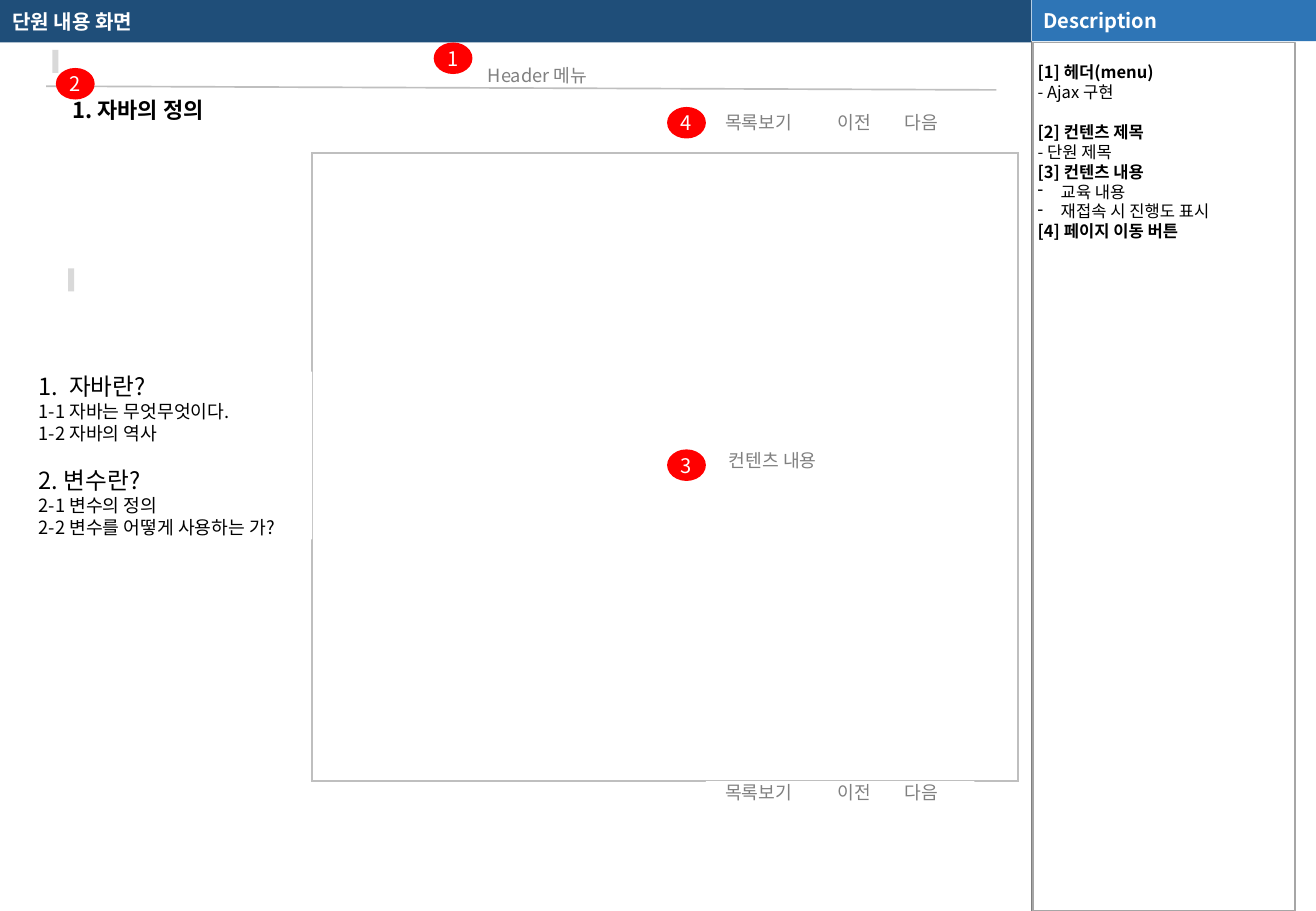
from dataclasses import dataclass

from lxml import etree
from pptx import Presentation
from pptx.dml.color import RGBColor
from pptx.enum.shapes import MSO_CONNECTOR, MSO_SHAPE
from pptx.enum.text import MSO_ANCHOR, MSO_AUTO_SIZE, PP_ALIGN
from pptx.oxml.ns import qn
from pptx.util import Pt

RECTANGLE, OVAL = MSO_SHAPE.RECTANGLE, MSO_SHAPE.OVAL
STRAIGHT = MSO_CONNECTOR.STRAIGHT
TOP, MIDDLE = MSO_ANCHOR.TOP, MSO_ANCHOR.MIDDLE
LEFT, CENTER = PP_ALIGN.LEFT, PP_ALIGN.CENTER
NO_AUTOFIT = MSO_AUTO_SIZE.NONE

FONT = "Noto Sans CJK KR"
WHITE, BLACK, GRAY, LIGHT_GRAY = "FFFFFF", "000000", "808080", "BFBFBF"
LINE_HEIGHT = 1.2
SMALL, BODY, HEADING = 9.8, 10.8, 11.9
NO_INSETS = (0, 0, 0, 0)
TEXT_INSETS = (7.2, 3.6, 7.2, 3.6)

TITLE_WIDTH, TITLE_HEIGHT = 611.3, 25.2
NAVIGATION = (("목록보기", 418.3), ("이전", 475.2), ("다음", 514.8))
BADGES = ((257, 25.2), (33.1, 40.3), (395.3, 266.4), (395.3, 63.4))


@dataclass
class Line:
    text: str
    size: float = BODY
    bold: bool = False
    color: str = BLACK
    before: float = 0
    bullet: str = ""
    indent: float = 0
    spacing: float = LINE_HEIGHT


DESCRIPTION = [
    Line("[1] 헤더(menu)", SMALL, True),
    Line("- Ajax 구현", SMALL),
    Line("[2] 컨텐츠 제목", SMALL, True, before=11.7),
    Line("- 단원 제목", SMALL),
    Line("[3] 컨텐츠 내용", SMALL, True),
    Line("교육 내용", SMALL, bullet="-", indent=13.7),
    Line("재접속 시 진행도 표시", SMALL, bullet="-", indent=13.7),
    Line("[4] 페이지 이동 버튼", SMALL, True),
]
CONTENTS = [
    Line("자바란?", 14, bullet="1.", indent=18),
    Line("1-1 자바는 무엇무엇이다."),
    Line("1-2 자바의 역사"),
    Line("2. 변수란?", 14, before=13),
    Line("2-1 변수의 정의"),
    Line("2-2 변수를 어떻게 사용하는 가?"),
]


def rgb(color):
    return RGBColor.from_string(color)


def add_bullet(para, bullet, indent):
    """Give a paragraph a dash bullet or a number with a hanging indent."""
    properties = para._p.get_or_add_pPr()
    properties.set("marL", str(Pt(indent)))
    properties.set("indent", str(-Pt(indent)))
    if bullet == "1.":
        etree.SubElement(properties, qn("a:buAutoNum"), type="arabicPeriod")
    else:
        etree.SubElement(properties, qn("a:buChar"), char=bullet)


def write(shape, lines, align=LEFT, anchor=TOP, insets=NO_INSETS):
    frame = shape.text_frame
    frame.word_wrap = True
    frame.auto_size = NO_AUTOFIT
    frame.vertical_anchor = anchor
    (frame.margin_left, frame.margin_top,
     frame.margin_right, frame.margin_bottom) = map(Pt, insets)
    frame.text = "\n".join(line.text for line in lines)
    for para, line in zip(frame.paragraphs, lines):
        if line.bullet:
            add_bullet(para, line.bullet, line.indent)
        para.alignment = align
        para.line_spacing = Pt(round(line.size * line.spacing, 1))
        para.space_before = Pt(line.before)
        for span in para.runs:
            font = span.font
            font.name, font.size, font.bold = FONT, Pt(line.size), line.bold
            font.color.rgb = rgb(line.color)
            etree.SubElement(span._r.get_or_add_rPr(), qn("a:ea"), typeface=FONT)


def add_box(slide, place, fill=None, outline=None, kind=RECTANGLE):
    box = slide.shapes.add_shape(kind, *map(Pt, place))
    box.shadow.inherit = False
    if fill:
        box.fill.solid()
        box.fill.fore_color.rgb = rgb(fill)
    else:
        box.fill.background()
    if outline:
        box.line.color.rgb = rgb(outline)
        box.line.width = Pt(1)
    else:
        box.line.fill.background()
    return box


def add_text(slide, place, line, align=LEFT, insets=NO_INSETS):
    box = slide.shapes.add_textbox(*map(Pt, place))
    write(box, [line], align, insets=insets)


def add_rule(slide, ends, color, width):
    rule = slide.shapes.add_connector(STRAIGHT, *map(Pt, ends))
    rule.line.color.rgb = rgb(color)
    rule.line.width = Pt(width)
    etree.SubElement(rule._element.spPr, qn("a:effectLst"))


def add_frame_table(slide, place, color):
    """Add a one-cell table that shows only its borders."""
    table = slide.shapes.add_table(1, 1, *map(Pt, place)).table
    table.first_row = table.horz_banding = False
    cell = table.cell(0, 0)
    properties = cell._tc.get_or_add_tcPr()
    for side in ("a:lnL", "a:lnR", "a:lnT", "a:lnB"):
        border = etree.SubElement(properties, qn(side), w=str(Pt(1)))
        solid = etree.SubElement(border, qn("a:solidFill"))
        etree.SubElement(solid, qn("a:srgbClr"), val=color)
    cell.fill.background()


def add_title_bar(slide):
    add_box(slide, (0, 0, TITLE_WIDTH, TITLE_HEIGHT), "1F4E79")
    add_rule(slide, (TITLE_WIDTH, 0, TITLE_WIDTH, TITLE_HEIGHT), WHITE, 0.25)
    add_rule(slide, (TITLE_WIDTH, 24.5, TITLE_WIDTH, 540), "7F7F7F", 0.25)
    label = add_box(slide, (TITLE_WIDTH, 0, 168.5, 24.5), "2E75B6")
    write(label, [Line("Description", HEADING, True, WHITE)],
          anchor=MIDDLE, insets=TEXT_INSETS)
    title = slide.shapes.title
    title.left, title.top = Pt(0), Pt(0)
    title.width, title.height = Pt(594), Pt(TITLE_HEIGHT)
    write(title, [Line("단원 내용 화면", HEADING, True, WHITE)],
          anchor=MIDDLE, insets=TEXT_INSETS)
    slide.shapes._spTree.append(title._element)  # in front of the bar


def add_navigation(slide, top, fill=None):
    for name, left in NAVIGATION:
        button = add_box(slide, (left, top, 62.6, 13), fill)
        write(button, [Line(name, color=GRAY)], CENTER)


def main():
    deck = Presentation()
    deck.slide_width, deck.slide_height = Pt(779.8), Pt(540)
    slide = deck.slides.add_slide(deck.slide_layouts[5])
    add_title_bar(slide)

    add_rule(slide, (27.4, 51.1, 590.4, 53.3), LIGHT_GRAY, 1)
    for left, top in ((31, 29.5), (40.3, 159.1)):
        add_box(slide, (left, top, 3.6, 13.7), "D9D9D9")
    add_text(slide, (36, 54, 198.7, 23), Line("1. 자바의 정의", 13, True),
             insets=TEXT_INSETS)
    add_text(slide, (33.1, 28.1, 571, 24.5),
             Line("Header 메뉴", color=GRAY, spacing=1.5 * LINE_HEIGHT),
             CENTER, TEXT_INSETS)

    description = add_box(slide, (612, 25.2, 155.5, 514.8), outline="A6A6A6")
    write(description, DESCRIPTION, insets=(2.9, 11.7, 2.9, 0))

    add_frame_table(slide, (185, 90.7, 418.3, 372.2), LIGHT_GRAY)
    write(add_box(slide, (23, 220.3, 162, 99.4), WHITE), CONTENTS)
    content = add_box(slide, (406.8, 266.4, 102.2, 13), WHITE)
    write(content, [Line("컨텐츠 내용", color=GRAY)], CENTER)
    add_navigation(slide, 463, WHITE)
    add_navigation(slide, 66.2)

    for number, (left, top) in enumerate(BADGES, 1):
        badge = add_box(slide, (left, top, 23, 18.7), "FF0000", kind=OVAL)
        write(badge, [Line(str(number), HEADING, color=WHITE)], CENTER, MIDDLE)

    deck.save("out.pptx")


if __name__ == "__main__":
    main()
